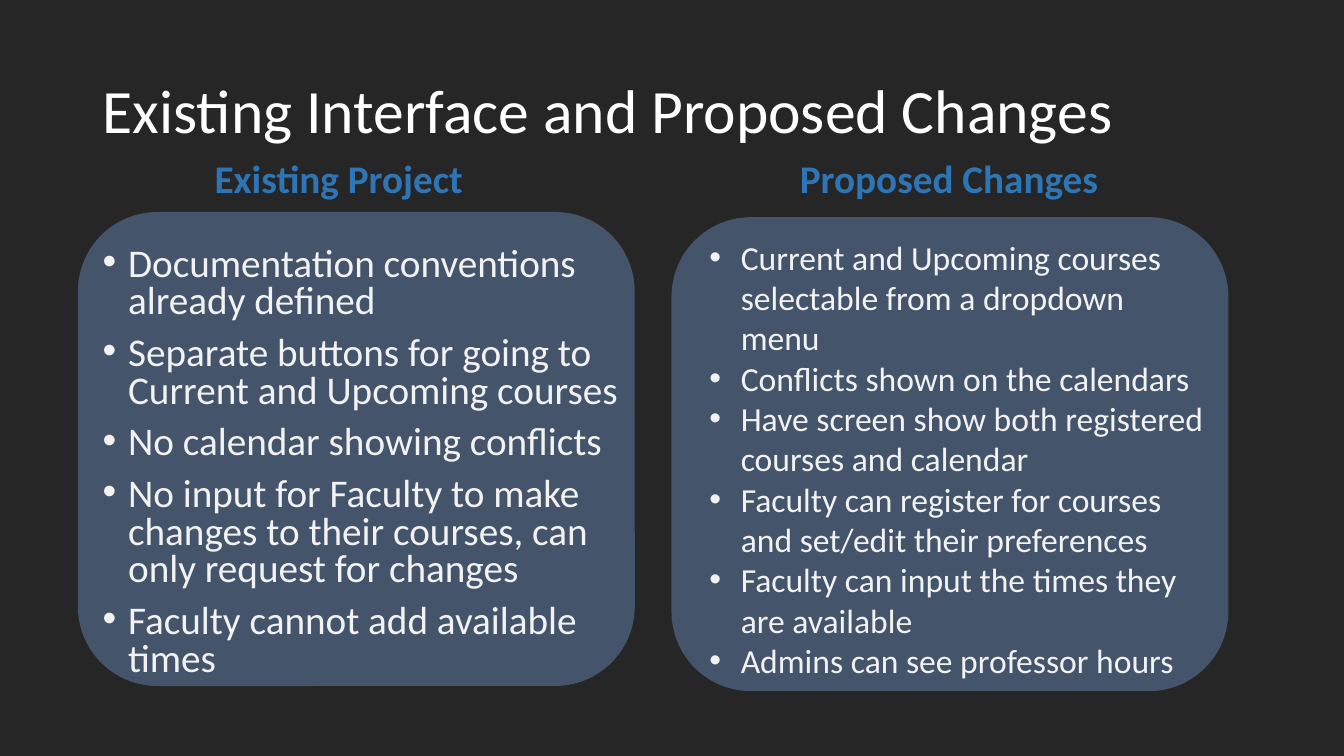
from dataclasses import dataclass

from lxml import etree
from pptx import Presentation
from pptx.dml.color import RGBColor
from pptx.enum.shapes import MSO_SHAPE
from pptx.enum.text import MSO_ANCHOR
from pptx.oxml.ns import qn
from pptx.util import Cm, Pt

ROUNDED = MSO_SHAPE.ROUNDED_RECTANGLE
TOP = MSO_ANCHOR.TOP
MIDDLE = MSO_ANCHOR.MIDDLE


@dataclass(frozen=True)
class Theme:
    """Colours, font and type sizes of the slide."""

    background: RGBColor = RGBColor(0x26, 0x26, 0x26)
    card: RGBColor = RGBColor(0x44, 0x54, 0x6A)
    title: RGBColor = RGBColor(0xFF, 0xFF, 0xFF)
    heading: RGBColor = RGBColor(0x2E, 0x75, 0xB6)
    body: RGBColor = RGBColor(0xF2, 0xF2, 0xF2)
    font: str = "Calibri"
    title_size: Pt = Pt(44)
    large_size: Pt = Pt(28)
    small_size: Pt = Pt(24)


THEME = Theme()

EXISTING_POINTS = [
    "Documentation conventions already defined",
    "Separate buttons for going to Current and Upcoming courses",
    "No calendar showing conflicts",
    "No input for Faculty to make changes to their\u00a0courses, can only request for changes",
    "Faculty cannot add available times",
]
PROPOSED_POINTS = [
    "Current and Upcoming courses selectable from a dropdown menu",
    "Conflicts shown on the calendars",
    "Have screen show both registered courses and calendar",
    "Faculty can register for courses and set/edit their preferences",
    "Faculty can input the times they are available",
    "Admins can see professor hours",
]


def apply_format(target, values):
    """Set each named attribute on the target."""
    for name, value in values.items():
        setattr(target, name, value)


def box(left, top, width, height):
    """Turn centimetres into a position and size."""
    return [Cm(length) for length in (left, top, width, height)]


def add_text(slide, area, lines, color, font_format, paragraph_format=None, anchor=TOP):
    """Add wrapped text with one paragraph per line and return its paragraphs."""
    frame = slide.shapes.add_textbox(*area).text_frame
    apply_format(frame, {"word_wrap": True, "vertical_anchor": anchor, "text": "\n".join(lines)})
    for paragraph in frame.paragraphs:
        apply_format(paragraph, paragraph_format or {})
        for run in paragraph.runs:
            apply_format(run.font, {"name": THEME.font, **font_format})
            run.font.color.rgb = color
    return frame.paragraphs


def add_heading(slide, area, label):
    """Add a bold column heading."""
    add_text(slide, area, [label], THEME.heading, {"size": THEME.large_size, "bold": True})


def add_card(slide, left, top):
    """Add the rounded panel behind a list."""
    card = slide.shapes.add_shape(ROUNDED, *box(left, top, 14, 11.91))
    card.shadow.inherit = False
    card.fill.solid()
    card.fill.fore_color.rgb = THEME.card
    card.line.color.rgb = THEME.card
    card.line.width = Pt(1)


def add_bullets(slide, area, points, size, indent, spacing=None):
    """Add a bulleted list with a hanging indent."""
    paragraphs = add_text(slide, area, points, THEME.body, {"size": size}, spacing)
    for paragraph in paragraphs:
        properties = paragraph._p.get_or_add_pPr()
        properties.set("marL", str(Cm(indent)))
        properties.set("indent", str(-Cm(indent)))
        etree.SubElement(properties, qn("a:buFont")).set("typeface", "Arial")
        etree.SubElement(properties, qn("a:buChar")).set("char", "•")


def main():
    """Build and save the comparison slide."""
    presentation = Presentation()
    apply_format(presentation, {"slide_width": Cm(33.87), "slide_height": Cm(19.05)})
    slide = presentation.slides.add_slide(presentation.slide_layouts[6])
    slide.background.fill.solid()
    slide.background.fill.fore_color.rgb = THEME.background

    add_text(slide, box(2.34, 1.02, 29.21, 3.68), ["Existing Interface and Proposed Changes"],
             THEME.title, {"size": THEME.title_size}, {"line_spacing": 0.9}, MIDDLE)

    add_heading(slide, box(5.16, 3.76, 7.62, 1.45), "Existing Project")
    add_card(slide, 1.98, 5.36)
    add_bullets(slide, box(2.34, 6.1, 14.6, 11.56), EXISTING_POINTS, THEME.large_size, 0.64,
                {"line_spacing": 0.8, "space_before": Pt(10)})

    add_heading(slide, box(19.91, 3.76, 8.05, 1.45), "Proposed Changes")
    add_card(slide, 16.94, 5.49)
    add_bullets(slide, box(17.63, 5.84, 13.06, 11.53), PROPOSED_POINTS, THEME.small_size, 0.79)

    presentation.save("out.pptx")


main()
